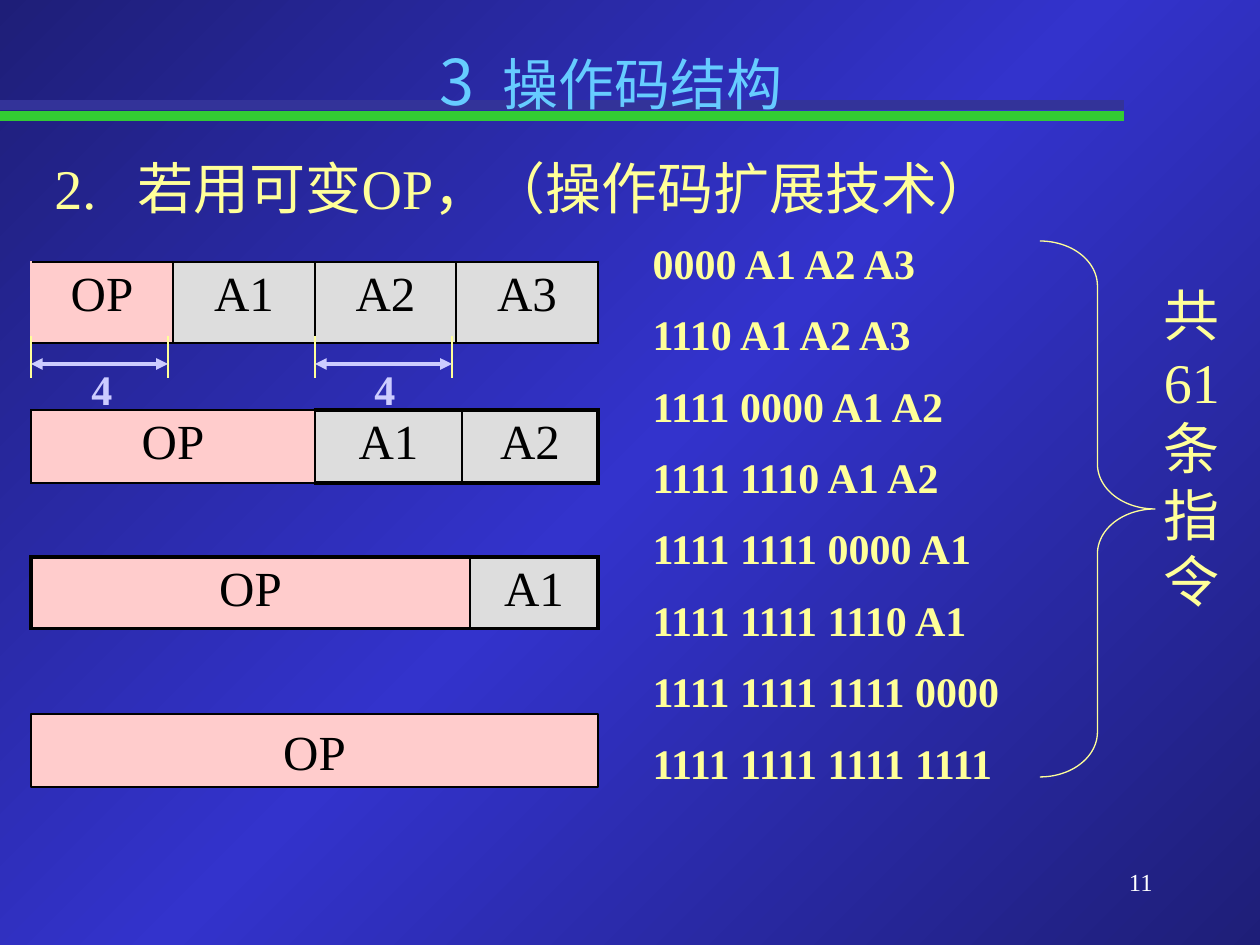
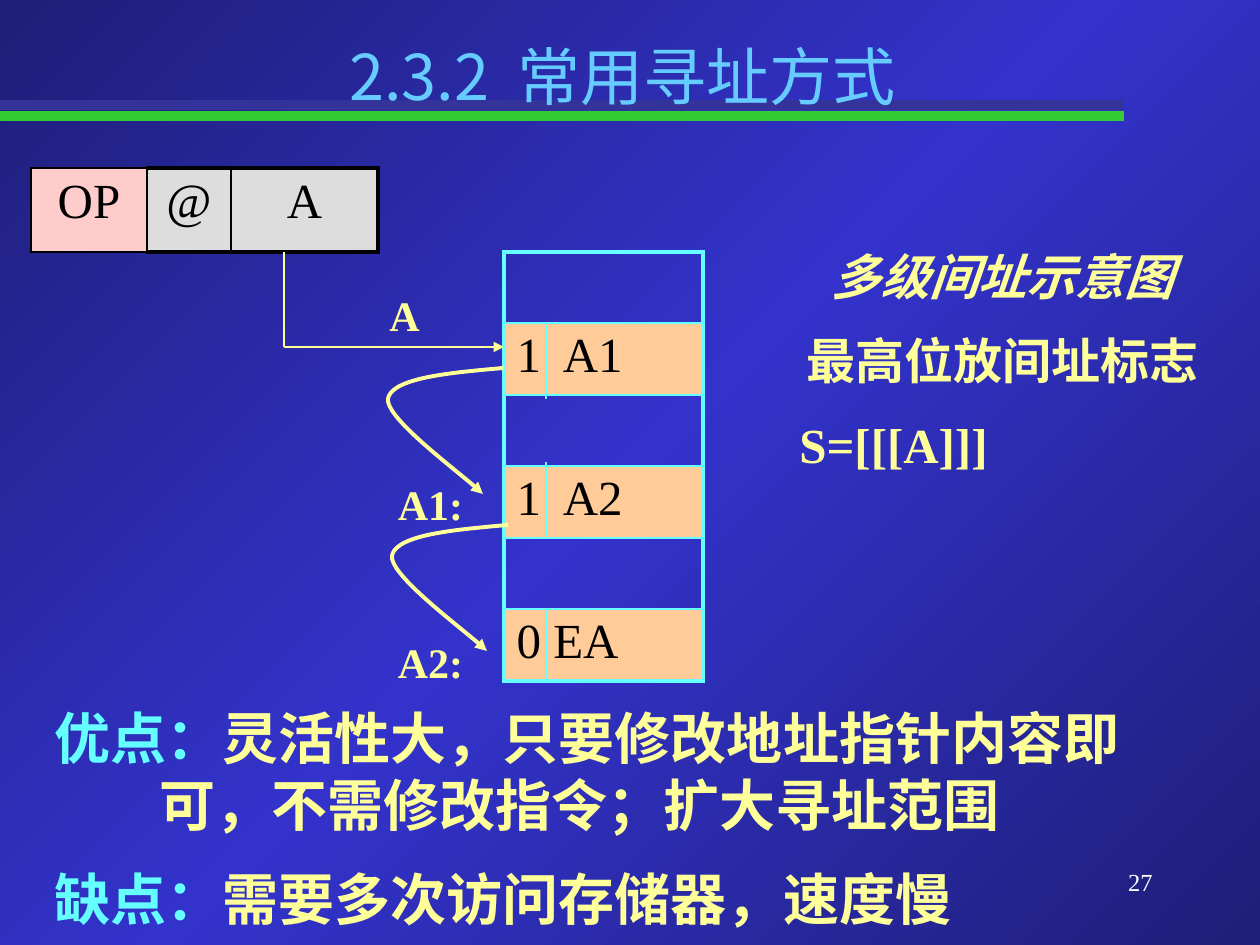
from copy import deepcopy

from lxml import etree
from pptx import Presentation
from pptx import util as u
from pptx.dml.color import RGBColor
from pptx.enum import shapes, text
from pptx.oxml.ns import qn

PX = u.Inches(1) // 126

NAVY = RGBColor(0x1E, 0x1E, 0x78)
BLUE = RGBColor(0x33, 0x33, 0xCC)
INDIGO = RGBColor(0x33, 0x33, 0x99)
GREEN = RGBColor(0x33, 0xCC, 0x33)
SKY = RGBColor(0x66, 0xCC, 0xFF)
CYAN = RGBColor(0x66, 0xFF, 0xFF)
LILAC = RGBColor(0xCC, 0xCC, 0xFF)
YELLOW = RGBColor(0xFF, 0xFF, 0x99)
PINK = RGBColor(0xFF, 0xCC, 0xCC)
GREY = RGBColor(0xDD, 0xDD, 0xDD)
PEACH = RGBColor(0xFF, 0xCC, 0x99)
BLACK = RGBColor(0, 0, 0)
WHITE = RGBColor(255, 255, 255)

SERIF = "Times New Roman"
SANS = "Noto Sans CJK SC"
LEFT, CENTER, RIGHT = text.PP_ALIGN.LEFT, text.PP_ALIGN.CENTER, text.PP_ALIGN.RIGHT


def write(frame, paragraphs, size, bold=False, align=LEFT, font=SERIF,
          line=None, gap=0, hanging=0):
    """Fill a text frame; each paragraph is a list of (words, colour) runs."""
    frame.word_wrap = True
    for index, runs in enumerate(paragraphs):
        para = frame.add_paragraph() if index else frame.paragraphs[0]
        properties = para._p.get_or_add_pPr()
        properties.set("marL", str(hanging * PX))
        properties.set("indent", str(-hanging * PX))
        etree.SubElement(properties, qn("a:buNone"))
        para.alignment = align
        para.space_before = u.Pt(gap if index else 0)
        if line:
            para.line_spacing = u.Pt(line)
        for words, color in runs:
            span = para.add_run()
            span.text = words
            span.font.size = u.Pt(size)
            span.font.bold = bold
            span.font.name = font
            span.font.color.rgb = color
            etree.SubElement(span._r.get_or_add_rPr(), qn("a:ea"), typeface=SANS)


def add_grid(page, left, top, widths, heights, cells, border=BLACK, align=CENTER):
    """Add a table; each cell is (words, fill, thick edges out of L, R, T, B)."""
    table = page.shapes.add_table(len(heights), len(widths), left * PX, top * PX,
                                  sum(widths) * PX, sum(heights) * PX).table
    table.first_row = table.horz_banding = False
    for column, width in zip(table.columns, widths):
        column.width = width * PX
    for row, height in zip(table.rows, heights):
        row.height = height * PX
    for cell, (words, fill, thick) in zip(table.iter_cells(), cells):
        properties = cell._tc.get_or_add_tcPr()
        for edge in "LRTB":
            width = u.Pt(2.25 if edge in thick else 1)
            outline = etree.SubElement(properties, qn("a:ln" + edge), w=str(width))
            solid = etree.SubElement(outline, qn("a:solidFill"))
            etree.SubElement(solid, qn("a:srgbClr"), val=str(border))
        if fill:
            cell.fill.solid()
            cell.fill.fore_color.rgb = fill
        else:
            cell.fill.background()
        if words:
            write(cell.text_frame, [[(words, BLACK)]], 28, align=align)
    return table


deck = Presentation()
deck.slide_width, deck.slide_height = u.Inches(10), u.Inches(7.5)

# Shared background: a diagonal gradient, bright in the middle
master = deck.slide_master
backdrop = master.background.fill
backdrop.gradient()
backdrop.gradient_angle = 315
stop_list = master.element.find(".//" + qn("a:gsLst"))
stop_list.append(deepcopy(stop_list[-1]))
for stop, color, position in zip(backdrop.gradient_stops, (NAVY, BLUE, NAVY), (0, 0.5, 1)):
    stop.color.rgb = color
    stop.position = position

# Titles, bodies and page numbers
layout = deck.slide_layouts[1]
opcode_page, indirect_page = deck.slides.add_slide(layout), deck.slides.add_slide(layout)
for page, title_at, title_runs, body_at, number in (
        (opcode_page, (34, 37, 1155, 88), [("3  ", SKY), ("操作码结构", SKY)],
         (640, 231, 588, 591), "11"),
        (indirect_page, (199, 32, 847, 88), [("2.3.2  常用寻址方式", SKY)],
         (42, 698, 1144, 247), "27")):
    for holder, place in ((page.shapes.title, title_at), (page.placeholders[1], body_at)):
        holder.left, holder.top, holder.width, holder.height = [n * PX for n in place]
        holder.text_frame.auto_size = text.MSO_AUTO_SIZE.NONE
        holder.text_frame.vertical_anchor = text.MSO_ANCHOR.TOP
    write(page.shapes.title.text_frame, [title_runs], 36, align=CENTER, font=SANS, line=43)
    box = page.shapes.add_textbox(903 * PX, 861 * PX, 262 * PX, 63 * PX)
    write(box.text_frame, [[(number, WHITE)]], 14, align=RIGHT)
opcode_page.shapes.title.text_frame.paragraphs[0].runs[1].font.size = u.Pt(32)

# Opcode page: instruction formats
box = opcode_page.shapes.add_textbox(42 * PX, 148 * PX, 1218 * PX, 79 * PX)
write(box.text_frame, [[("2.\t若用可变OP，（操作码扩展技术）", YELLOW)]], 32,
      line=38, hanging=83)

three_address = add_grid(opcode_page, 31, 262, [142, 142, 141, 142], [81],
                         [("OP", PINK, "")] + [(name, GREY, "") for name in ("A1", "A2", "A3")])
open_edge = three_address.cell(0, 0)._tc.tcPr.find(qn("a:lnL"))
open_edge.find(".//" + qn("a:srgbClr")).set("val", str(PINK))
add_grid(opcode_page, 31, 410, [284, 147, 136], [73],
         [("OP", PINK, ""), ("A1", GREY, "TB"), ("A2", GREY, "TBR")])
add_grid(opcode_page, 31, 557, [439, 128], [71],
         [("OP", PINK, "LTB"), ("A1", GREY, "TBR")])

zero_address = opcode_page.shapes.add_shape(shapes.MSO_SHAPE.RECTANGLE,
                                            31 * PX, 714 * PX, 567 * PX, 73 * PX)
zero_address.shadow.inherit = False
zero_address.fill.solid()
zero_address.fill.fore_color.rgb = PINK
zero_address.line.color.rgb = BLACK
zero_address.line.width = u.Pt(0.75)
zero_address.text_frame.vertical_anchor = text.MSO_ANCHOR.MIDDLE
write(zero_address.text_frame, [[("OP", BLACK)]], 28, align=CENTER)

# Opcode page: the code list, its fields parted by en spaces, and its total
codes = ["0000 A1 A2 A3", "1110 A1 A2 A3", "1111 0000 A1 A2", "1111 1110 A1 A2",
         "1111 1111 0000 A1", "1111 1111 1110 A1", "1111 1111 1111 0000",
         "1111 1111 1111 1111"]
write(opcode_page.placeholders[1].text_frame, [[(code, YELLOW)] for code in codes],
      24, bold=True, gap=12)

brace = opcode_page.shapes.add_shape(shapes.MSO_SHAPE.RIGHT_BRACE,
                                     1040 * PX, 241 * PX, 115 * PX, 536 * PX)
brace.shadow.inherit = False
brace.fill.background()
brace.line.color.rgb = YELLOW
brace.line.width = u.Pt(0.75)
brace.adjustments[0], brace.adjustments[1] = 0.39, 0.5
box = opcode_page.shapes.add_textbox(1124 * PX, 275 * PX, 136 * PX, 349 * PX)
write(box.text_frame, [[("共61条指令", YELLOW)]], 32, align=CENTER, line=38)

# Indirect page: instruction, memory column and remarks
add_grid(indirect_page, 31, 168, [116, 84, 147], [84],
         [("OP", PINK, ""), ("@", GREY, "TB"), ("A", GREY, "TBR")])
add_grid(indirect_page, 504, 252, [199], [71, 72] * 3,
         [("", None, "LRT"), ("1  A1", PEACH, "LR"), ("", None, "LR"),
          ("1  A2", PEACH, "LR"), ("", None, "LR"), ("0 EA", PEACH, "LRB")],
         border=CYAN, align=LEFT)

box = indirect_page.shapes.add_textbox(787 * PX, 240 * PX, 431 * PX, 249 * PX)
write(box.text_frame, [[(words, YELLOW)] for words in
                       ("多级间址示意图", "最高位放间址标志", "S=[[[A]]]")],
      28, bold=True, align=CENTER, line=34, gap=14)
heading, *others, formula = box.text_frame.paragraphs
heading.runs[0].font.italic = True
formula.alignment = LEFT

write(indirect_page.placeholders[1].text_frame,
      [[("优点：", CYAN),
        ("灵活性大，只要修改地址指针内容即可，不需修改指令；扩大寻址范围", YELLOW)],
       [("缺点：", CYAN), ("需要多次访问存储器，速度慢", YELLOW)]],
      32, bold=True, line=38, gap=16, hanging=105)

# Small labels on both pages
for page, left, top, width, words, color in (
        (opcode_page, 58, 357, 88, "4", LILAC),
        (opcode_page, 341, 357, 88, "4", LILAC),
        (indirect_page, 315, 283, 179, "A", YELLOW),
        (indirect_page, 336, 472, 189, "A1:", YELLOW),
        (indirect_page, 336, 630, 189, "A2:", YELLOW)):
    box = page.shapes.add_textbox(left * PX, top * PX, width * PX, 63 * PX)
    write(box.text_frame, [[(words, color)]], 24, bold=True, align=CENTER)

# Straight lines: page, from, to, colour, weight, arrowheads
lines = [(master, 0, 116, 1124, 116, GREEN, 5.5, ()),
         (master, 0, 105, 1124, 105, INDIGO, 5.5, ()),
         (indirect_page, 284, 252, 284, 347, YELLOW, 0.75, ()),
         (indirect_page, 284, 347, 504, 347, YELLOW, 0.75, ("tailEnd",))]
for left in (31, 315):
    right = left + 137
    lines += [(opcode_page, x, 336, x, 378, YELLOW, 0.75, ()) for x in (left, right)]
    lines.append((opcode_page, left, 364, right, 364, LILAC, 2.25, ("headEnd", "tailEnd")))
lines += [(indirect_page, 546, top, 546, top + 74, CYAN, 0.75, ()) for top in (325, 462, 609)]

arrows = []
for page, x1, y1, x2, y2, color, weight, ends in lines:
    drawing_page = opcode_page if page is master else page
    line = drawing_page.shapes.add_connector(shapes.MSO_CONNECTOR.STRAIGHT,
                                             x1 * PX, y1 * PX, x2 * PX, y2 * PX)
    line.line.color.rgb = color
    line.line.width = u.Pt(weight)
    etree.SubElement(line.element.spPr, qn("a:effectLst"))
    arrows.append((line, ends))
    if page is master:
        master.element.cSld.spTree.append(line.element)

# Curved pointers from one memory word to the next
bends = [((504, 368), (448, 373), (392, 378), (388, 399)),
         ((388, 399), (386, 420), (465, 476), (483, 494))]
for shift_x, shift_y in ((0, 0), (4, 157)):
    points = []
    for bend in bends:
        for step in range(21):
            t = step / 20
            weights = ((1 - t) ** 3, 3 * t * (1 - t) ** 2, 3 * t ** 2 * (1 - t), t ** 3)
            x = sum(w * point[0] for w, point in zip(weights, bend))
            y = sum(w * point[1] for w, point in zip(weights, bend))
            points.append((round((x + shift_x) * PX), round((y + shift_y) * PX)))
    builder = indirect_page.shapes.build_freeform(*points[0])
    builder.add_line_segments(points[1:], close=False)
    pointer = builder.convert_to_shape()
    pointer.shadow.inherit = False
    pointer.fill.background()
    pointer.line.color.rgb = YELLOW
    pointer.line.width = u.Pt(2.25)
    arrows.append((pointer, ("tailEnd",)))

for arrow, ends in arrows:
    for end in ends:
        etree.SubElement(arrow.line._get_or_add_ln(), qn("a:" + end), type="triangle")

deck.save("out.pptx")
